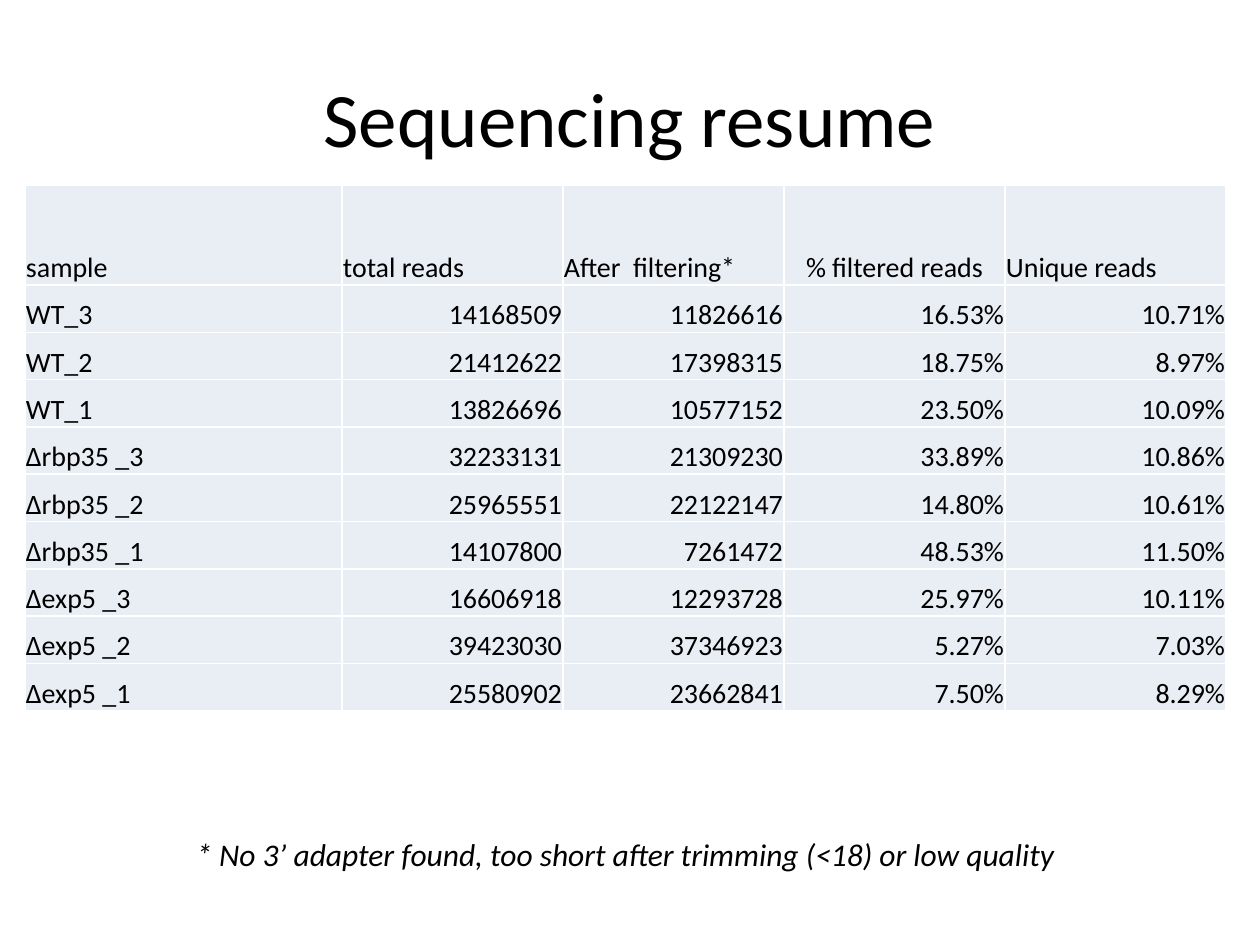
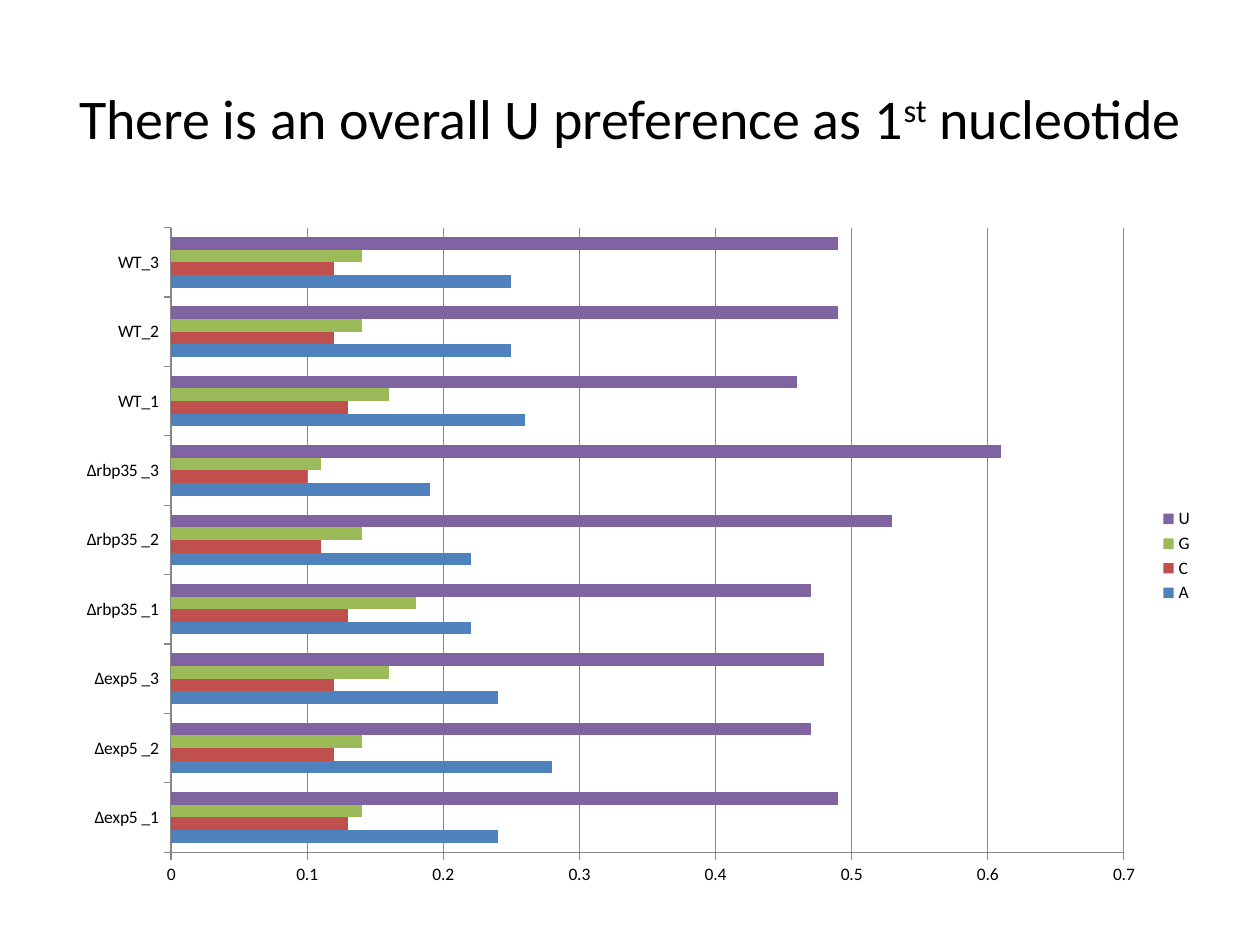
from dataclasses import dataclass
from typing import Any

from lxml import etree
from pptx import Presentation
from pptx.chart.data import CategoryChartData
from pptx.dml.color import RGBColor
from pptx.enum.chart import XL_CHART_TYPE, XL_LEGEND_POSITION, XL_TICK_MARK
from pptx.enum.text import MSO_ANCHOR, MSO_AUTO_SIZE, PP_ALIGN
from pptx.oxml.ns import qn
from pptx.util import Emu, Pt

EMU_PER_INCH = 914400
PX_PER_INCH = 126
BLANK_LAYOUT = 6

BLACK = RGBColor(0x00, 0x00, 0x00)
WHITE = RGBColor(0xFF, 0xFF, 0xFF)
CELL_FILL = RGBColor(0xE9, 0xED, 0xF4)
AXIS_GRAY = RGBColor(0x87, 0x87, 0x87)
BLUE = RGBColor(0x4F, 0x81, 0xBD)
RED = RGBColor(0xC0, 0x50, 0x4D)
GREEN = RGBColor(0x9B, 0xBB, 0x59)
PURPLE = RGBColor(0x80, 0x64, 0xA2)

FONT = "Calibri"
LEFT, CENTER, RIGHT = PP_ALIGN.LEFT, PP_ALIGN.CENTER, PP_ALIGN.RIGHT
MIDDLE, BOTTOM = MSO_ANCHOR.MIDDLE, MSO_ANCHOR.BOTTOM
FIT_SHAPE = MSO_AUTO_SIZE.SHAPE_TO_FIT_TEXT
BAR_CLUSTERED = XL_CHART_TYPE.BAR_CLUSTERED
LEGEND_RIGHT = XL_LEGEND_POSITION.RIGHT
TICK_OUT, TICK_NONE = XL_TICK_MARK.OUTSIDE, XL_TICK_MARK.NONE


@dataclass(frozen=True)
class Box:
    left: int
    top: int
    width: int
    height: int

    def emu(self) -> tuple[Emu, Emu, Emu, Emu]:
        return px(self.left), px(self.top), px(self.width), px(self.height)


@dataclass(frozen=True)
class Sample:
    name: str
    total_reads: str
    after_filtering: str
    filtered_share: str
    unique_share: str

    def cells(self) -> tuple[str, ...]:
        return (self.name, self.total_reads, self.after_filtering,
                self.filtered_share, self.unique_share)


@dataclass(frozen=True)
class Nucleotide:
    letter: str
    color: RGBColor
    shares: tuple[float, ...]


@dataclass(frozen=True)
class Phrase:
    text: str
    baseline: int = 0


TITLE_BOX = Box(63, 38, 1134, 158)
READS_BOX = Box(25, 185, 1201, 526)
FOOTNOTE_BOX = Box(184, 829, 902, 50)
PREFERENCE_BOX = Box(64, 214, 1142, 684)

HEADER_HEIGHT = 100
SAMPLE_COLUMN_WIDTH = 317
READS_COLUMN_WIDTH = 221

HEADERS = ("sample", "total reads", "After  filtering*", "% filtered reads", "Unique reads")
HEADER_ALIGNS = (LEFT, LEFT, LEFT, CENTER, LEFT)
SAMPLE_ALIGNS = (LEFT, RIGHT, RIGHT, RIGHT, RIGHT)

SAMPLES = (
    Sample("WT_3", "14168509", "11826616", "16.53%", "10.71%"),
    Sample("WT_2", "21412622", "17398315", "18.75%", "8.97%"),
    Sample("WT_1", "13826696", "10577152", "23.50%", "10.09%"),
    Sample("∆rbp35 _3", "32233131", "21309230", "33.89%", "10.86%"),
    Sample("∆rbp35 _2", "25965551", "22122147", "14.80%", "10.61%"),
    Sample("∆rbp35 _1", "14107800", "7261472", "48.53%", "11.50%"),
    Sample("∆exp5 _3", "16606918", "12293728", "25.97%", "10.11%"),
    Sample("∆exp5 _2", "39423030", "37346923", "5.27%", "7.03%"),
    Sample("∆exp5 _1", "25580902", "23662841", "7.50%", "8.29%"),
)

NUCLEOTIDES = (
    Nucleotide("A", BLUE, (0.24, 0.28, 0.24, 0.22, 0.22, 0.19, 0.26, 0.25, 0.25)),
    Nucleotide("C", RED, (0.13, 0.12, 0.12, 0.13, 0.11, 0.1, 0.13, 0.12, 0.12)),
    Nucleotide("G", GREEN, (0.14, 0.14, 0.16, 0.18, 0.14, 0.11, 0.16, 0.14, 0.14)),
    Nucleotide("U", PURPLE, (0.49, 0.47, 0.48, 0.47, 0.53, 0.61, 0.46, 0.49, 0.49)),
)


def px(length: int) -> Emu:
    return Emu(round(length * EMU_PER_INCH / PX_PER_INCH))


def apply(target: Any, formats: dict[str, Any]) -> None:
    for attribute, value in formats.items():
        setattr(target, attribute, value)


def style_font(font: Any, size: int, italic: bool = False) -> None:
    apply(font, {"name": FONT, "size": Pt(size), "italic": italic})
    font.color.rgb = BLACK


def add_text(slide: Any, box: Box, phrases: tuple[Phrase, ...], size: int,
             frame_formats: dict[str, Any], align: PP_ALIGN = LEFT,
             italic: bool = False) -> None:
    frame = slide.shapes.add_textbox(*box.emu()).text_frame
    apply(frame, frame_formats)
    paragraph = frame.paragraphs[0]
    paragraph.alignment = align
    for phrase in phrases:
        run = paragraph.add_run()
        run.text = phrase.text
        style_font(run.font, size, italic)
        if phrase.baseline:
            run.font._element.set("baseline", str(phrase.baseline * 1000))


def add_title(slide: Any, size: int, *phrases: Phrase) -> None:
    add_text(slide, TITLE_BOX, phrases, size,
             {"word_wrap": True, "vertical_anchor": MIDDLE}, CENTER)


def add_cell_borders(cell: Any) -> None:
    properties = cell._tc.get_or_add_tcPr()
    for position, side in enumerate(("a:lnL", "a:lnR", "a:lnT", "a:lnB")):
        border = etree.Element(qn(side), w=str(Pt(1)))
        fill = etree.SubElement(border, qn("a:solidFill"))
        etree.SubElement(fill, qn("a:srgbClr"), val=str(WHITE))
        properties.insert(position, border)


def fill_cell(cell: Any, text: str, align: PP_ALIGN) -> None:
    apply(cell, {"text": text, "vertical_anchor": BOTTOM, "margin_left": px(1),
                 "margin_right": px(1), "margin_top": px(1), "margin_bottom": 0})
    cell.fill.solid()
    cell.fill.fore_color.rgb = CELL_FILL
    paragraph = cell.text_frame.paragraphs[0]
    paragraph.alignment = align
    style_font(paragraph.runs[0].font, 16)
    add_cell_borders(cell)


def add_reads_table(slide: Any) -> None:
    reads = slide.shapes.add_table(len(SAMPLES) + 1, len(HEADERS), *READS_BOX.emu()).table
    apply(reads, {"first_row": False, "horz_banding": False})
    for index, column in enumerate(reads.columns):
        column.width = px(READS_COLUMN_WIDTH if index else SAMPLE_COLUMN_WIDTH)
    sample_height = Emu(px(READS_BOX.height - HEADER_HEIGHT) // len(SAMPLES))
    for index, row in enumerate(reads.rows):
        row.height = sample_height if index else px(HEADER_HEIGHT)
        texts = SAMPLES[index - 1].cells() if index else HEADERS
        aligns = SAMPLE_ALIGNS if index else HEADER_ALIGNS
        for cell, text, align in zip(row.cells, texts, aligns):
            fill_cell(cell, text, align)


def add_preference_chart(slide: Any) -> None:
    shares = CategoryChartData(number_format="General")
    shares.categories = [sample.name for sample in reversed(SAMPLES)]
    for nucleotide in NUCLEOTIDES:
        shares.add_series(nucleotide.letter, nucleotide.shares)
    chart = slide.shapes.add_chart(BAR_CLUSTERED, *PREFERENCE_BOX.emu(), shares).chart
    apply(chart, {"has_title": False, "has_legend": True})
    apply(chart.legend, {"position": LEGEND_RIGHT, "include_in_layout": False})
    style_font(chart.font, 10)

    plot = chart.plots[0]
    apply(plot, {"gap_width": 150, "overlap": 0, "vary_by_categories": False})
    for series, nucleotide in zip(plot.series, NUCLEOTIDES):
        series.invert_if_negative = False
        series.format.fill.solid()
        series.format.fill.fore_color.rgb = nucleotide.color

    apply(chart.value_axis, {"minimum_scale": 0, "maximum_scale": 0.7, "major_unit": 0.1,
                             "has_major_gridlines": True})
    chart.category_axis.has_major_gridlines = False
    for axis in (chart.category_axis, chart.value_axis):
        apply(axis, {"major_tick_mark": TICK_OUT, "minor_tick_mark": TICK_NONE})
    for part in (chart.category_axis, chart.value_axis, chart.value_axis.major_gridlines):
        part.format.line.color.rgb = AXIS_GRAY
        part.format.line.width = Pt(0.75)


def main() -> None:
    deck = Presentation()
    apply(deck, {"slide_width": px(1260), "slide_height": px(945)})
    blank = deck.slide_layouts[BLANK_LAYOUT]

    sequencing = deck.slides.add_slide(blank)
    add_title(sequencing, 44, Phrase("Sequencing resume"))
    add_reads_table(sequencing)
    footnote = Phrase("* No 3’ adapter found, too short after trimming (<18) or low quality")
    add_text(sequencing, FOOTNOTE_BOX, (footnote,), 18,
             {"word_wrap": False, "auto_size": FIT_SHAPE}, italic=True)

    preference = deck.slides.add_slide(blank)
    add_title(preference, 32, Phrase("There is an overall U preference as 1"),
              Phrase("st", 30), Phrase(" nucleotide"))
    add_preference_chart(preference)

    deck.save("out.pptx")


if __name__ == "__main__":
    main()
